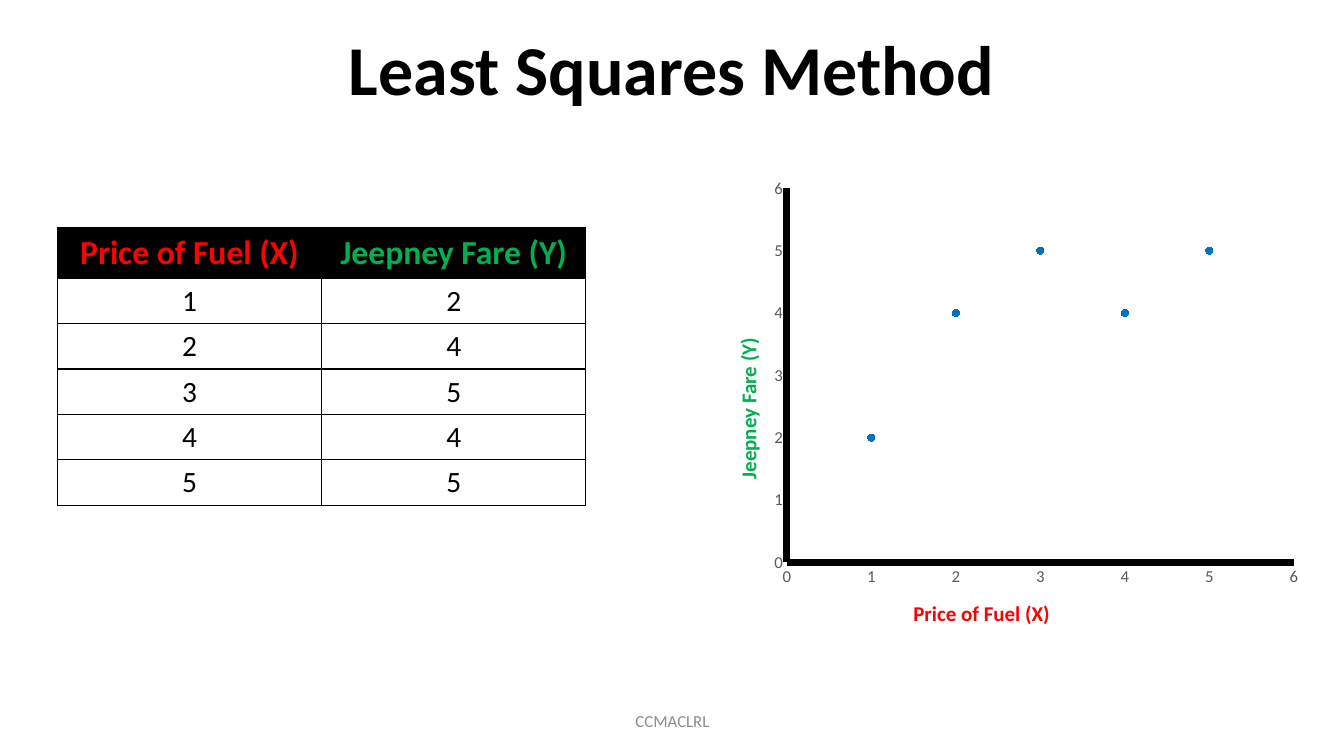
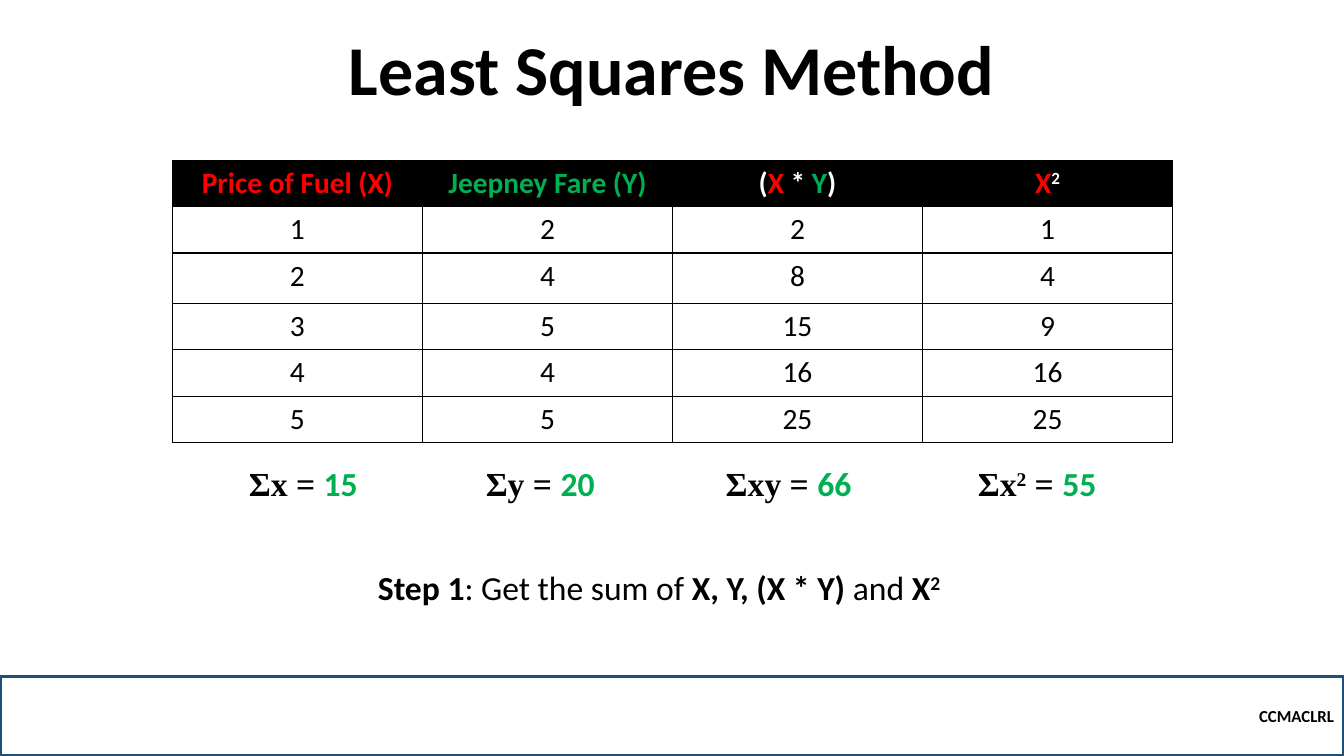
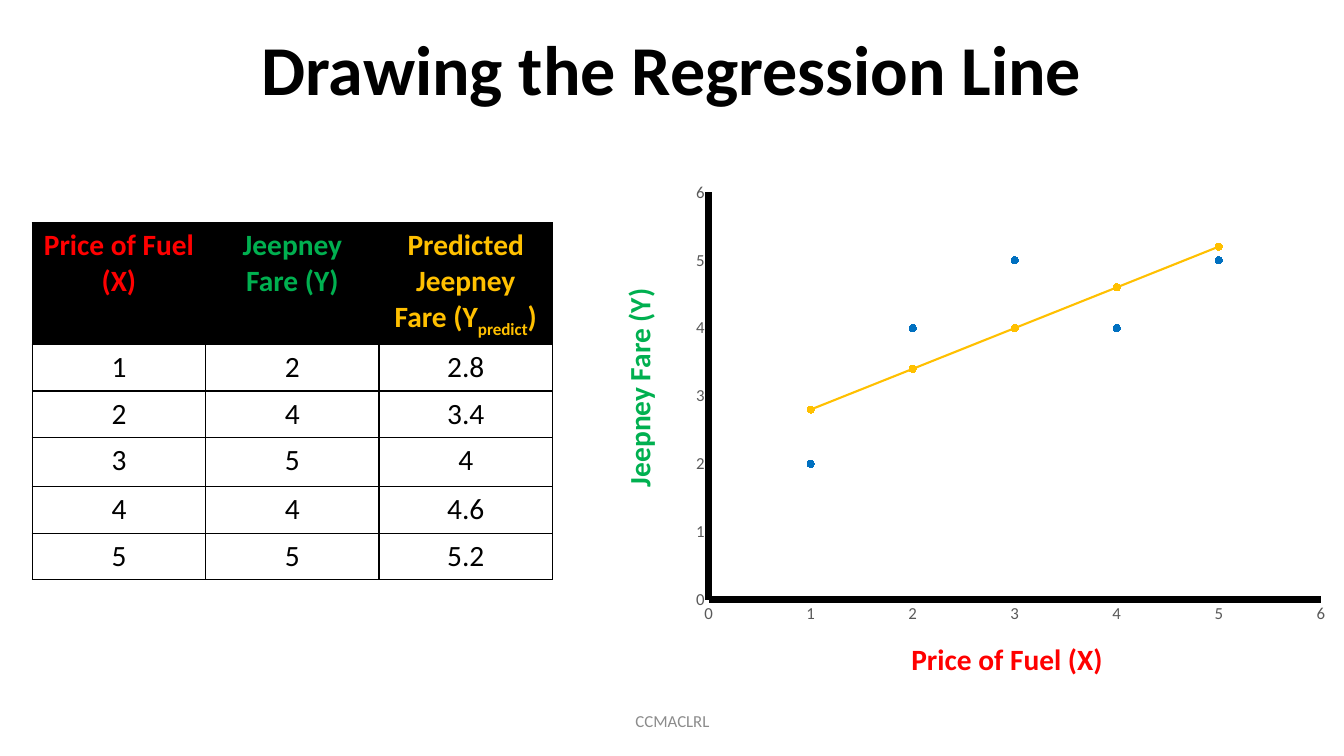
"""Build three slides on the least squares method and its regression line."""

import pptx
import pptx.chart.data
import pptx.dml.color
import pptx.enum.chart
import pptx.enum.shapes
import pptx.enum.text
import pptx.oxml
import pptx.oxml.ns
import pptx.util
from lxml import etree

Inches = pptx.util.Inches
Pt = pptx.util.Pt
RGBColor = pptx.dml.color.RGBColor
ALIGN = pptx.enum.text.PP_ALIGN
ANCHOR = pptx.enum.text.MSO_ANCHOR
qn = pptx.oxml.ns.qn

BLACK = RGBColor(0x00, 0x00, 0x00)
WHITE = RGBColor(0xFF, 0xFF, 0xFF)
RED = RGBColor(0xFF, 0x00, 0x00)
GREEN = RGBColor(0x00, 0xB0, 0x50)
GOLD = RGBColor(0xFF, 0xC0, 0x00)
BLUE = RGBColor(0x00, 0x70, 0xC0)
NAVY = RGBColor(0x1F, 0x4E, 0x79)
GREY = RGBColor(0x8C, 0x8C, 0x8C)
AXIS_GREY = RGBColor(0x59, 0x59, 0x59)
FONT = "Calibri"
FOOTER = "CCMACLRL"


def write(paragraph, runs, size, color=BLACK, bold=True, align=ALIGN.LEFT, name=FONT):
    """Style a paragraph and fill it with (text, differences) runs."""
    paragraph.alignment = align
    paragraph.font.size = Pt(size)
    paragraph.font.name = name
    paragraph.font.bold = bold
    paragraph.font.color.rgb = color
    for text, changes in runs:
        run = paragraph.add_run()
        run.text = text
        if "color" in changes:
            run.font.color.rgb = changes["color"]
        if "bold" in changes:
            run.font.bold = changes["bold"]
        if "name" in changes:
            run.font.name = changes["name"]
        if "baseline" in changes:
            run._r.get_or_add_rPr().set("baseline", str(changes["baseline"] * 1000))


def add_text(slide, box, runs, size, anchor=ANCHOR.TOP, wrap=False, **style):
    """Add a text box holding one paragraph."""
    shape = slide.shapes.add_textbox(*map(Inches, box))
    shape.text_frame.word_wrap = wrap
    shape.text_frame.vertical_anchor = anchor
    write(shape.text_frame.paragraphs[0], runs, size, **style)
    return shape


fuel = [1, 2, 3, 4, 5]
fare = [2, 4, 5, 4, 5]
predicted = [2.8, 3.4, 4, 4.6, 5.2]
products = [x * y for x, y in zip(fuel, fare)]
squares = [x * x for x in fuel]

superscript = {"baseline": 30}
fuel_column = ([("Price of Fuel (X)", {})], RED, fuel)
fare_column = ([("Jeepney Fare (Y)", {})], GREEN, fare)
product_column = (
    [("(", {}), ("X", {"color": RED}), (" * ", {}), ("Y", {"color": GREEN}), (")", {})],
    WHITE, products)
square_column = ([("X", {}), ("2", {"color": WHITE, **superscript})], RED, squares)
predicted_column = (
    [("Predicted Jeepney Fare (Y", {}), ("predict", {"baseline": -25}), (")", {})],
    GOLD, predicted)

pages = [
    {
        "title": "Least Squares Method",
        "table": (0.57, 2.26, 2.62, [0.5] + [0.45] * 5, 24),
        "columns": [fuel_column, fare_column],
        "chart": (7.59, 1.77, 5.35, 4.14),
        "series": [("Series 1", fare, BLUE)],
        "axis_titles": (15, (8.96, 5.91, 1.57, 0.35), (6.61, 3.87, 1.62, 0.35)),
    },
    {
        "title": "Least Squares Method",
        "table": (1.71, 1.59, 2.48, [0.46, 0.46, 0.5, 0.46, 0.46, 0.46], 21),
        "columns": [fuel_column, fare_column, product_column, square_column],
    },
    {
        "title": "Drawing the Regression Line",
        "table": (0.32, 2.21, 1.72, [1.21, 0.46, 0.46, 0.49, 0.46, 0.46], 21),
        "columns": [fuel_column, fare_column, predicted_column],
        "chart": (6.77, 1.81, 6.46, 4.5),
        "series": [("Series 1", fare, BLUE), ("Series 2", predicted, GOLD)],
        "axis_titles": (21, (8.94, 6.31, 2.12, 0.45), (5.24, 3.61, 2.19, 0.45)),
    },
]

presentation = pptx.Presentation()
presentation.slide_width = Inches(13.33)
presentation.slide_height = Inches(7.5)

for page in pages:
    slide = presentation.slides.add_slide(presentation.slide_layouts[6])
    if "chart" in page:
        add_text(slide, (4.42, 6.95, 4.5, 0.4), [(FOOTER, {})], 12, ANCHOR.MIDDLE, True,
                 color=GREY, bold=False, align=ALIGN.CENTER)
    else:
        band = slide.shapes.add_shape(pptx.enum.shapes.MSO_SHAPE.RECTANGLE, 0, Inches(6.71),
                                      Inches(13.33), Inches(0.79))
        band.shadow.inherit = False
        band.fill.background()
        band.line.color.rgb = NAVY
        band.line.width = Pt(2.25)
        band.text_frame.vertical_anchor = ANCHOR.MIDDLE
        write(band.text_frame.paragraphs[0], [(FOOTER, {})], 12, align=ALIGN.RIGHT)

    title = add_text(slide, (0.5, 0.36, 12.33, 0.79), [(page["title"], {})], 50,
                     ANCHOR.BOTTOM, True, align=ALIGN.CENTER)
    title.text_frame.paragraphs[0].line_spacing = 0.9

    left, top, column_width, row_heights, header_size = page["table"]
    columns = page["columns"]
    table = slide.shapes.add_table(
        len(row_heights), len(columns), Inches(left), Inches(top),
        Inches(column_width * len(columns)), Inches(sum(row_heights))).table
    table.first_row = False
    table.horz_banding = False
    for row, height in zip(table.rows, row_heights):
        row.height = Inches(height)
    for column_index, (header, header_color, values) in enumerate(columns):
        table.columns[column_index].width = Inches(column_width)
        for row_index in range(len(row_heights)):
            cell = table.cell(row_index, column_index)
            properties = cell._tc.get_or_add_tcPr()
            for side in ("a:lnL", "a:lnR", "a:lnT", "a:lnB"):
                border = etree.SubElement(properties, qn(side), w=str(Pt(1)))
                border_fill = etree.SubElement(border, qn("a:solidFill"))
                etree.SubElement(border_fill, qn("a:srgbClr"), val=str(BLACK))
            cell.fill.solid()
            paragraph = cell.text_frame.paragraphs[0]
            if row_index == 0:
                cell.fill.fore_color.rgb = BLACK
                write(paragraph, header, header_size, header_color, align=ALIGN.CENTER)
            else:
                cell.fill.fore_color.rgb = WHITE
                write(paragraph, [(str(values[row_index - 1]), {})], 21, bold=False,
                      align=ALIGN.CENTER)

    if "chart" not in page:
        sums = [
            (2.37, [("Σx = ", {})], fuel),
            (4.72, [("Σy = ", {})], fare),
            (7.1, [("Σxy = ", {})], products),
            (9.6, [("Σx", {}), ("2", superscript), (" = ", {})], squares),
        ]
        for left, label, values in sums:
            total = (str(sum(values)), {"name": FONT, "color": GREEN})
            add_text(slide, (left, 4.54, 1.8, 0.5), label + [total], 24, wrap=True,
                     name="Times New Roman")
        add_text(slide, (3.65, 5.58, 6.03, 0.5), [
            ("Step 1", {}), (": Get the sum of ", {"bold": False}), ("X, Y, (X * Y)", {}),
            (" and ", {"bold": False}), ("X", {}), ("2", superscript)], 24, wrap=True)
        continue

    chart_data = pptx.chart.data.XyChartData()
    for name, values, _ in page["series"]:
        series_data = chart_data.add_series(name)
        for x, y in zip(fuel, values):
            series_data.add_data_point(x, y)
    chart = slide.shapes.add_chart(pptx.enum.chart.XL_CHART_TYPE.XY_SCATTER,
                                   *map(Inches, page["chart"]), chart_data).chart
    chart.has_legend = False
    chart.has_title = False
    chart.font.size = Pt(10)
    chart.font.name = FONT
    chart.plots[0].vary_by_categories = False
    for axis in (chart.category_axis, chart.value_axis):
        axis.minimum_scale = 0
        axis.maximum_scale = 6
        axis.major_unit = 1
        axis.has_major_gridlines = False
        axis.major_tick_mark = pptx.enum.chart.XL_TICK_MARK.NONE
        axis.minor_tick_mark = pptx.enum.chart.XL_TICK_MARK.NONE
        axis.format.line.color.rgb = BLACK
        axis.format.line.width = Pt(5)
        axis.tick_labels.font.size = Pt(12)
        axis.tick_labels.font.name = FONT
        axis.tick_labels.font.color.rgb = AXIS_GREY
    for series, (_, values, color) in zip(chart.plots[0].series, page["series"]):
        series.smooth = False
        series.marker.style = pptx.enum.chart.XL_MARKER_STYLE.CIRCLE
        series.marker.size = 5
        series.marker.format.fill.solid()
        series.marker.format.fill.fore_color.rgb = color
        series.marker.format.line.color.rgb = color
        if values is predicted:
            series.format.line.color.rgb = color
            series.format.line.width = Pt(1.5)
        else:
            series.format.line.fill.background()

    plot_area = chart._chartSpace.chart.plotArea
    for layout in plot_area.findall(qn("c:layout")):
        plot_area.remove(layout)
    layout = pptx.oxml.parse_xml(
        '<c:layout xmlns:c="http://schemas.openxmlformats.org/drawingml/2006/chart">'
        '<c:manualLayout><c:layoutTarget val="inner"/><c:xMode val="edge"/>'
        '<c:yMode val="edge"/><c:x val="0.04"/><c:y val="0.02"/>'
        '<c:w val="0.94"/><c:h val="0.9"/></c:manualLayout></c:layout>')
    plot_area.insert(0, layout)

    label_size, fuel_box, fare_box = page["axis_titles"]
    add_text(slide, fuel_box, [("Price of Fuel (X)", {})], label_size, color=RED)
    fare_label = add_text(slide, fare_box, [("Jeepney Fare (Y)", {})], label_size, color=GREEN)
    fare_label.rotation = 270

presentation.save("out.pptx")
